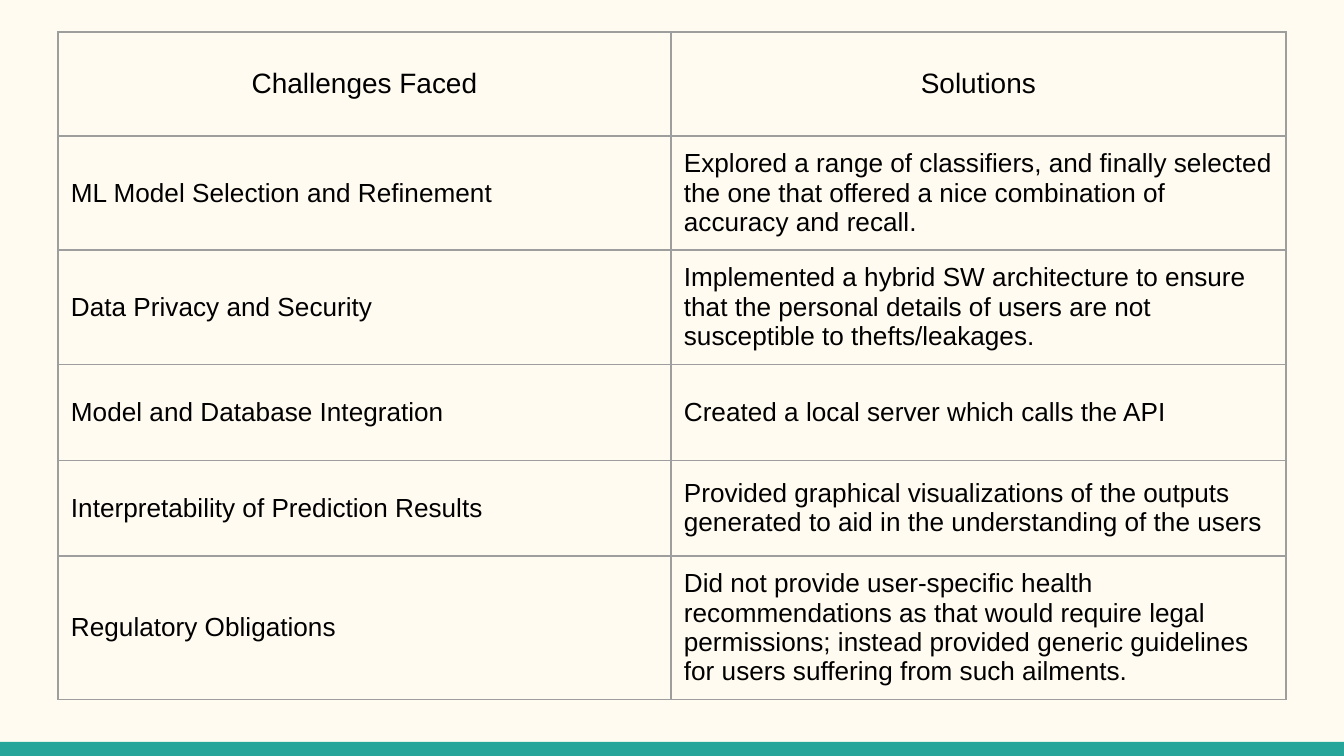
from lxml import etree
from pptx import Presentation
from pptx.dml.color import RGBColor
from pptx.enum.shapes import MSO_SHAPE as Shape
from pptx.enum.text import MSO_ANCHOR as Anchor, PP_ALIGN as Align
from pptx.oxml.ns import qn
from pptx.util import Pt

PX = 914400 / 134.4  # EMU per px


def px(length):
    return round(length * PX)


THEME = {
    "background": RGBColor.from_string("FFFBF0"),
    "accent": RGBColor.from_string("26A69A"),
    "text": RGBColor.from_string("000000"),
    "border": "9E9E9E",
    "border_width": Pt(0.75),
    "font": "Arial",
    "header_size": Pt(15),
    "body_size": Pt(14),
}

ROWS = [
    ("Challenges Faced", "Solutions"),
    ("ML Model Selection and Refinement",
     "Explored a range of classifiers, and finally selected the one that "
     "offered a nice combination of accuracy and recall."),
    ("Data Privacy and Security",
     "Implemented a hybrid SW architecture to ensure that the personal details "
     "of users are not susceptible to thefts/leakages."),
    ("Model and Database Integration",
     "Created a local server which calls the API"),
    ("Interpretability of Prediction Results",
     "Provided graphical visualizations of the outputs generated to aid in the "
     "understanding of the users"),
    ("Regulatory Obligations",
     "Did not provide user-specific health recommendations as that would "
     "require legal permissions; instead provided generic guidelines for users "
     "suffering from such ailments."),
]
COLUMN_WIDTHS = (613, 615)
HEADER_HEIGHT, BODY_HEIGHT = 104, 96


def add_borders(cell):
    properties = cell._tc.get_or_add_tcPr()
    for position, side in enumerate(("a:lnL", "a:lnR", "a:lnT", "a:lnB")):
        line = etree.Element(qn(side), w=str(THEME["border_width"]))
        fill = etree.SubElement(line, qn("a:solidFill"))
        etree.SubElement(fill, qn("a:srgbClr"), val=THEME["border"])
        properties.insert(position, line)  # borders come before the fill


# Slide
presentation = Presentation()
presentation.slide_width, presentation.slide_height = px(1344), px(756)
slide = presentation.slides.add_slide(presentation.slide_layouts[6])
slide.background.fill.solid()
slide.background.fill.fore_color.rgb = THEME["background"]

# Bottom bar
bar = slide.shapes.add_shape(Shape.RECTANGLE, 0, px(742), px(1344), px(14))
bar.shadow.inherit = False
bar.fill.solid()
bar.fill.fore_color.rgb = THEME["accent"]
bar.line.fill.background()

# Table
table_height = HEADER_HEIGHT + BODY_HEIGHT * (len(ROWS) - 1)
table = slide.shapes.add_table(
    len(ROWS), len(COLUMN_WIDTHS),
    px(58), px(32), px(sum(COLUMN_WIDTHS)), px(table_height)).table
table.first_row = table.horz_banding = False
for column, width in zip(table.columns, COLUMN_WIDTHS):
    column.width = px(width)

for row_index, texts in enumerate(ROWS):
    is_header = row_index == 0
    table.rows[row_index].height = px(HEADER_HEIGHT if is_header else BODY_HEIGHT)
    for column_index, text in enumerate(texts):
        cell = table.cell(row_index, column_index)
        cell.text = text
        cell.fill.background()
        cell.vertical_anchor = Anchor.MIDDLE
        cell.margin_left = cell.margin_right = px(13)
        cell.margin_top = cell.margin_bottom = px(13)
        add_borders(cell)
        paragraph = cell.text_frame.paragraphs[0]
        paragraph.alignment = Align.CENTER if is_header else Align.LEFT
        paragraph.font.name = THEME["font"]
        paragraph.font.size = THEME["header_size" if is_header else "body_size"]
        paragraph.font.color.rgb = THEME["text"]

presentation.save("out.pptx")
